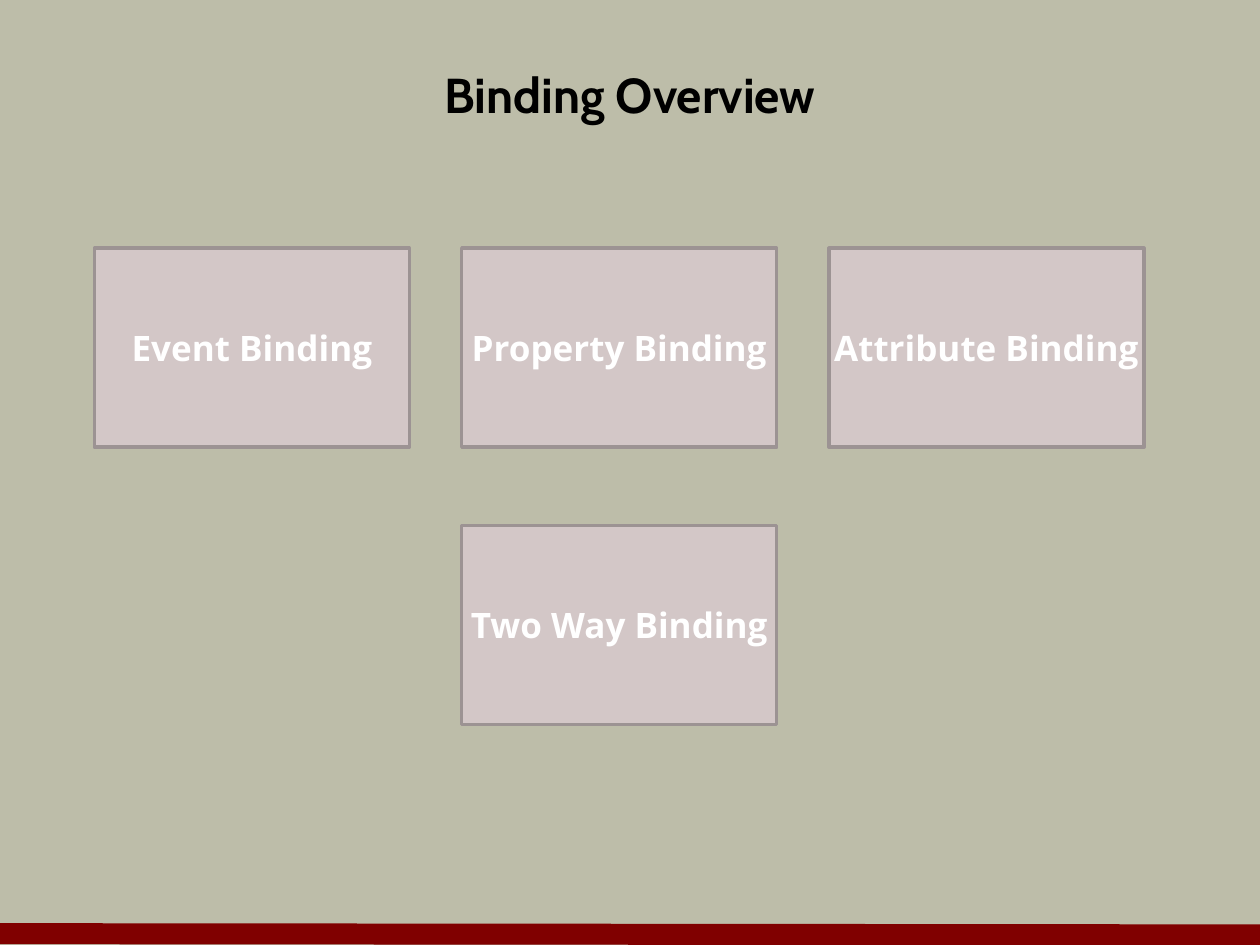
import pptx
import pptx.util
import pptx.dml.color
import pptx.enum.shapes
import pptx.enum.text
from dataclasses import dataclass
from pptx.util import Inches


@dataclass(frozen=True)
class Theme:
    background: str = "BDBDA9"
    footer: str = "800000"
    card_fill: str = "D3C7C7"
    card_line: str = "9C9393"
    title_color: str = "000000"
    card_text: str = "FFFFFF"
    title_font: str = "Cabin"
    card_font: str = "Open Sans"
    title_size: int = 28
    card_size: int = 20
    footer_width: int = 12
    card_line_width: int = 2


THEME = Theme()


def rgb(value):
    return pptx.dml.color.RGBColor.from_string(value)


def write_centered(frame, text, font_name, size, color, wrap):
    frame.text = text
    frame.word_wrap = wrap
    frame.vertical_anchor = pptx.enum.text.MSO_ANCHOR.MIDDLE
    paragraph = frame.paragraphs[0]
    paragraph.alignment = pptx.enum.text.PP_ALIGN.CENTER
    font = paragraph.runs[0].font
    font.name, font.size, font.bold = font_name, pptx.util.Pt(size), True
    font.color.rgb = rgb(color)


def add_footer(slide, left, top, width, drop):
    rule = slide.shapes.add_connector(
        pptx.enum.shapes.MSO_CONNECTOR.STRAIGHT,
        Inches(left), Inches(top), Inches(left + width), Inches(top + drop))
    rule.line.color.rgb = rgb(THEME.footer)
    rule.line.width = pptx.util.Pt(THEME.footer_width)
    properties = rule._element.spPr
    properties.append(properties.makeelement(pptx.oxml.ns.qn("a:effectLst"), {}))


def add_title(slide, text, left, top, width, height):
    title = slide.shapes.add_textbox(
        Inches(left), Inches(top), Inches(width), Inches(height))
    write_centered(title.text_frame, text, THEME.title_font,
                   THEME.title_size, THEME.title_color, wrap=True)


def add_card(slide, label, left, top, width, height):
    card = slide.shapes.add_shape(
        pptx.enum.shapes.MSO_SHAPE.RECTANGLE,
        Inches(left), Inches(top), Inches(width), Inches(height))
    card.shadow.inherit = False
    card.fill.solid()
    card.fill.fore_color.rgb = rgb(THEME.card_fill)
    card.line.color.rgb = rgb(THEME.card_line)
    card.line.width = pptx.util.Pt(THEME.card_line_width)
    write_centered(card.text_frame, label, THEME.card_font,
                   THEME.card_size, THEME.card_text, wrap=False)


def add_binding_grid(slide, rows, left, top, width, height):
    """Spread the cards over the box; each row centres its own cards."""
    card_width, card_height = 2.5, 1.58
    column_step = (width - card_width) / (max(map(len, rows)) - 1)
    row_step = (height - card_height) / (len(rows) - 1)
    for row_index, labels in enumerate(rows):
        row_width = card_width + column_step * (len(labels) - 1)
        row_left = left + (width - row_width) / 2
        for column, label in enumerate(labels):
            add_card(slide, label, row_left + column * column_step,
                     top + row_index * row_step, card_width, card_height)


def build_overview(presentation):
    slide = presentation.slides.add_slide(presentation.slide_layouts[6])
    slide.background.fill.solid()
    slide.background.fill.fore_color.rgb = rgb(THEME.background)

    # Footer rule and heading
    add_footer(slide, 0, 7.41, 10, 0.01)
    add_title(slide, "Binding Overview", 0.5, 0.33, 9, 0.83)

    # Kinds of binding
    binding_rows = [
        ["Event Binding", "Property Binding", "Attribute Binding"],
        ["Two Way Binding"],
    ]
    add_binding_grid(slide, binding_rows, 0.75, 1.97, 8.33, 3.78)


presentation = pptx.Presentation()
presentation.slide_width = Inches(10)
presentation.slide_height = Inches(7.5)
build_overview(presentation)
presentation.save("out.pptx")
